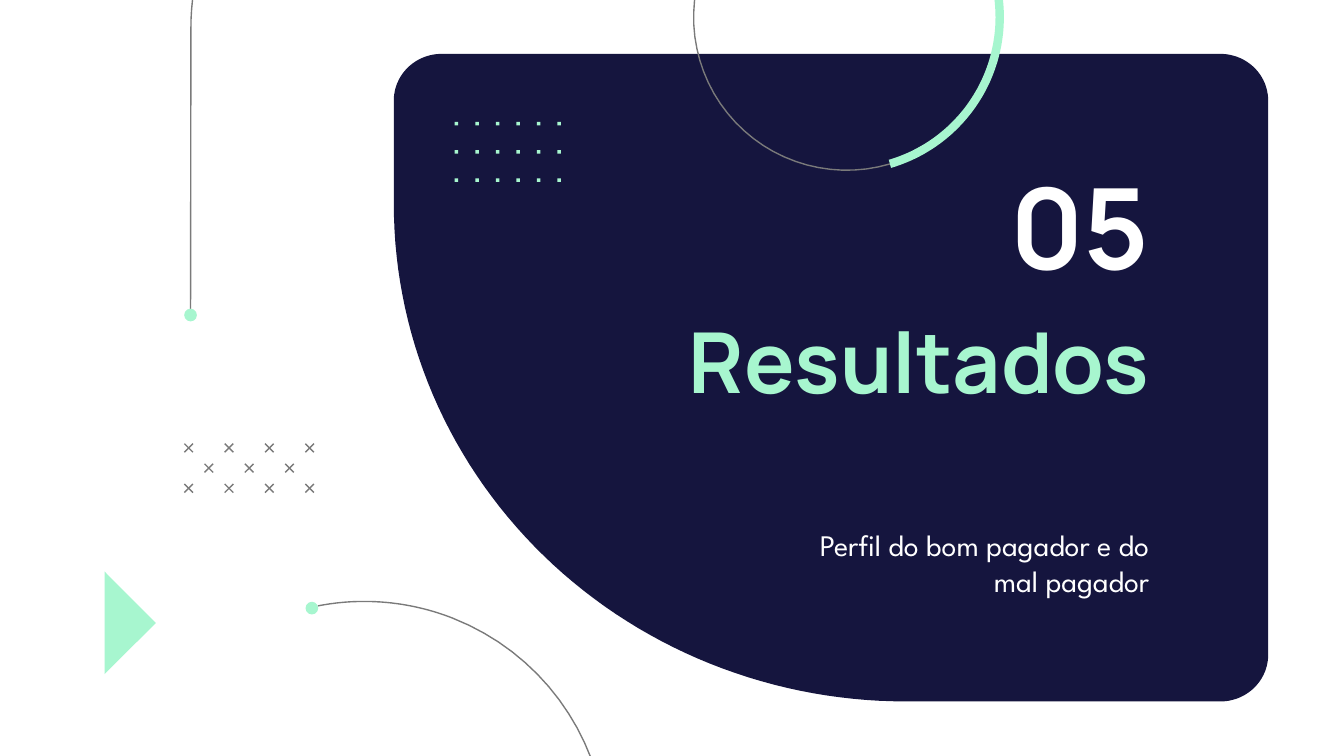
from math import cos, radians, sin
from lxml.etree import SubElement
from pptx import Presentation
from pptx.dml.color import RGBColor as RGB
from pptx.enum.shapes import MSO_CONNECTOR as LINK, MSO_SHAPE as FORM
from pptx.enum.text import MSO_ANCHOR as ANCHOR, PP_ALIGN as ALIGN
from pptx.oxml.ns import qn
from pptx.util import Pt

THEME = dict(
    navy=RGB(0x15, 0x15, 0x3E), mint=RGB(0xA7, 0xF6, 0xCF),
    gray=RGB(0x7A, 0x7A, 0x7A), white=RGB(0xFF, 0xFF, 0xFF),
    head="Manrope", body="League Spartan",
    title=45, number=60, lead=16, stroke=0.75,
)

TEXTS = [
    ("Resultados", dict(box=(339.1, 158.4, 283.7, 113.8), size="title",
                        font="head", color="mint", bold=True)),
    ("05", dict(box=(524.9, 79.2, 97.9, 77), size="number", font="head",
                color="white", bold=True, anchor=ANCHOR.BOTTOM, foot=0)),
    ("Perfil do bom pagador e do mal pagador",
     dict(box=(427, 275, 195.8, 55.4), size="lead", font="body",
          color="white", foot=0, after=16)),
]

CORNER = (25.6, 25)
PANEL = [
    (653.8, 53.9, *CORNER, -90, 0),
    (653.8, 350.8, *CORNER, 0, 90),
    (485.3, 109.4, 274.3, 266.4, 90, 180),
    (236.6, 53.9, *CORNER, 180, 270),
]
ARROW = [(56, 361.2), (83.5, 333.8), (56, 306.2)]
RING = (453.6, 9.2)
BAND = [(*RING, 84.2, 84.2, -16.4, 73.6), (*RING, 79.7, 79.7, 73.6, -16.4)]
HOOP = (*RING, 82, 82, 73.6, 343.6)
BEND = (403.3, 15.1, 301, 199.4, 180, 270)
WHEEL = (195.1, 452.2, 130, 130)
SPANS = [(-101, -68.3), (-68.3, 170)]
KNOBS = [(102.1, 168.8), (167.1, 325.8)]
KNOB = 6.8
CROSS = dict(x=101.1, y=240, step=10.8, half=2.3, rows=[(0, 4), (1, 3), (0, 4)])
GRID = dict(x=243.6, y=65.3, dx=11, dy=15.1, cols=6, rows=3, side=1.9)


def arc(x, y, rx, ry, start, end):
    turns = [radians(start + (end - start) * i / 60) for i in range(61)]
    return [(x + rx * cos(t), y + ry * sin(t)) for t in turns]


def paint(shape, fill=None, line=None):
    shape.shadow.inherit = False
    if fill:
        shape.fill.solid()
        shape.fill.fore_color.rgb = THEME[fill]
    else:
        shape.fill.background()
    if line:
        shape.line.color.rgb = THEME[line]
        shape.line.width = Pt(THEME["stroke"])
    else:
        shape.line.fill.background()


def trace(shapes, points, close=False, **look):
    spots = [(Pt(x), Pt(y)) for x, y in points]
    pen = shapes.build_freeform(*spots[0], scale=1.0)
    pen.add_line_segments(spots[1:], close=close)
    paint(pen.convert_to_shape(), **look)


def stamp(shapes, form, x, y, size):
    paint(shapes.add_shape(form, Pt(x), Pt(y), Pt(size), Pt(size)), fill="mint")


def stroke(shapes, *ends):
    line = shapes.add_connector(LINK.STRAIGHT, *map(Pt, ends))
    line.line.color.rgb = THEME["gray"]
    line.line.width = Pt(THEME["stroke"])
    SubElement(line._element.spPr, qn("a:effectLst"))


def write(shapes, text, *, box, size, font, color, bold=False,
          anchor=ANCHOR.TOP, foot=7.2, after=0):
    frame = shapes.add_textbox(*map(Pt, box)).text_frame
    frame.word_wrap = True
    frame.vertical_anchor = anchor
    frame.margin_left = frame.margin_right = frame.margin_top = Pt(7.2)
    frame.margin_bottom = Pt(foot)
    para = frame.paragraphs[0]
    para.alignment = ALIGN.RIGHT
    para.space_after = Pt(after)
    run = para.add_run()
    run.text = text
    run.font.name = THEME[font]
    run.font.size = Pt(THEME[size])
    run.font.bold = bold
    run.font.color.rgb = THEME[color]


def main():
    """Build the section slide for the results chapter."""
    deck = Presentation()
    deck.slide_width, deck.slide_height = Pt(720), Pt(405)
    shapes = deck.slides.add_slide(deck.slide_layouts[6]).shapes

    trace(shapes, [p for part in PANEL for p in arc(*part)], close=True, fill="navy")
    trace(shapes, ARROW, close=True, fill="mint")
    for text, form in TEXTS:
        write(shapes, text, **form)

    step, half = CROSS["step"], CROSS["half"]
    for row, (shift, count) in enumerate(CROSS["rows"]):
        y = CROSS["y"] + row * step
        for col in range(count):
            x = CROSS["x"] + (shift + 2 * col) * step
            for rise in (half, -half):
                stroke(shapes, x - half, y - rise, x + half, y + rise)

    for row in range(GRID["rows"]):
        for col in range(GRID["cols"]):
            stamp(shapes, FORM.RECTANGLE, GRID["x"] + col * GRID["dx"],
                  GRID["y"] + row * GRID["dy"], GRID["side"])

    trace(shapes, [KNOBS[0], *arc(*BEND), (498.2, -184.3)], line="gray")
    trace(shapes, arc(*HOOP), line="gray")
    trace(shapes, [p for part in BAND for p in arc(*part)], close=True, fill="mint")
    for span in SPANS:
        trace(shapes, arc(*WHEEL, *span), line="gray")
    for x, y in KNOBS:
        stamp(shapes, FORM.OVAL, x - KNOB / 2, y - KNOB / 2, KNOB)

    deck.save("out.pptx")


if __name__ == "__main__":
    main()
